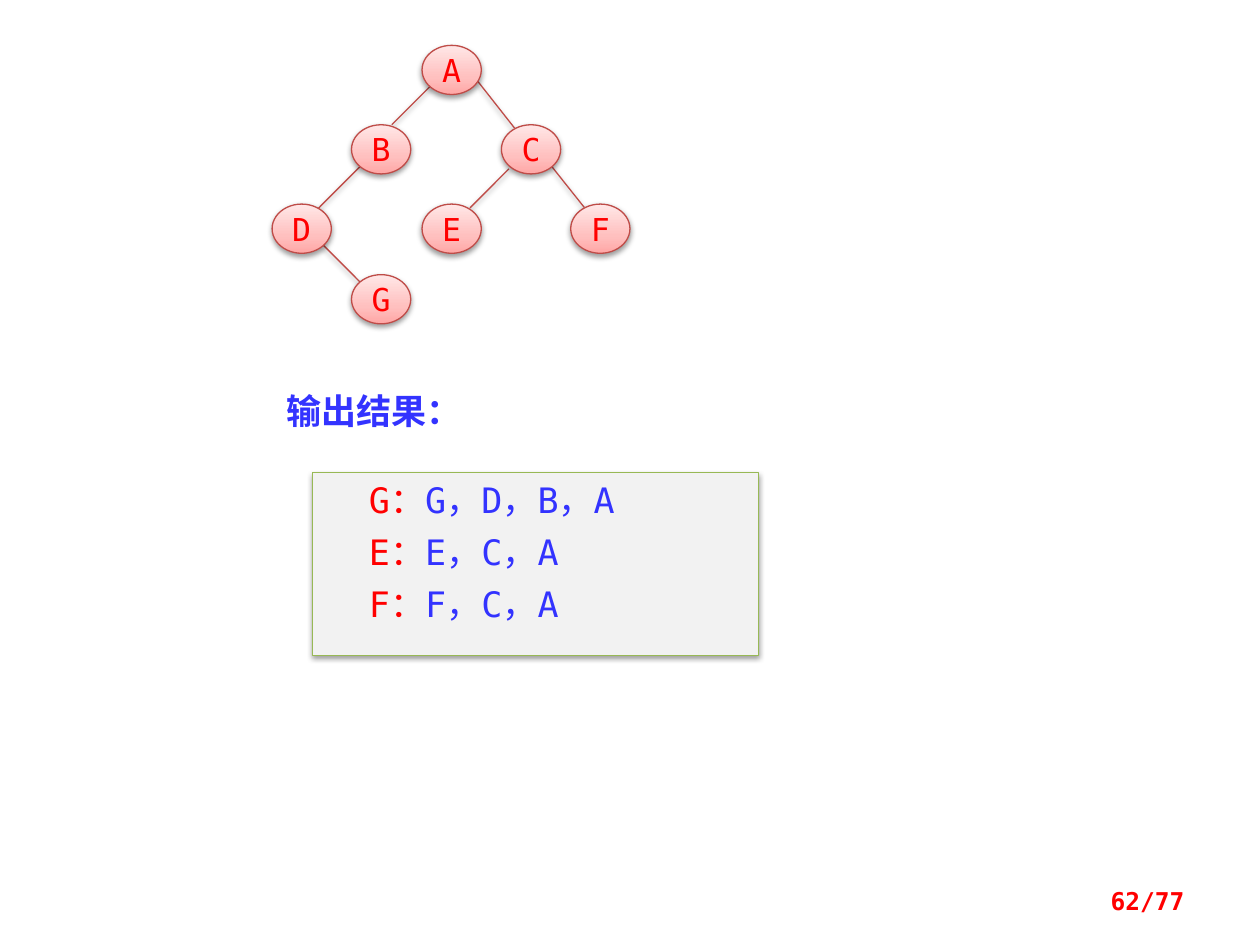
import pptx
import pptx.util
import pptx.dml.color
import pptx.enum.shapes
import pptx.enum.text
import pptx.oxml
import pptx.oxml.ns
import copy

Inches = pptx.util.Inches
Pt = pptx.util.Pt
ALIGN = pptx.enum.text.PP_ALIGN
ANCHOR = pptx.enum.text.MSO_ANCHOR
SHAPE = pptx.enum.shapes.MSO_SHAPE


class Theme:
    mono = "DejaVu Sans Mono"
    sans = "Noto Sans CJK SC"
    red, blue = "FF0000", "3333FF"
    edge, panel, border = "BF4C48", "F2F2F2", "98B955"
    stops = [(0, "FFA6A5"), (0.35, "FFC0BF"), (1, "FFE7E7")]
    node, text, foot = Pt(18), Pt(20), Pt(14)
    line, gap = Pt(0.75), Pt(5.5)


NODES = {"A": (1.19, 0), "B": (0.63, 0.63), "C": (1.82, 0.63), "D": (0, 1.26),
         "E": (1.19, 1.26), "F": (2.37, 1.26), "G": (0.63, 1.82)}
EDGES = [(0.4, 1.58, 0.71, 1.89), (1.26, 0.32, 0.95, 0.63),
         (1.62, 0.27, 1.95, 0.69), (0.71, 0.95, 0.32, 1.34),
         (1.88, 0.98, 1.57, 1.29), (2.21, 0.95, 2.52, 1.34)]
ROUTES = {"G": "G，D，B，A", "E": "E，C，A", "F": "F，C，A"}


def rgb(code):
    return pptx.dml.color.RGBColor.from_string(code)


def put(item, **values):
    for name, value in values.items():
        setattr(item, name, value)


def write(para, text, color, **font):
    run = para.add_run()
    run.text = text
    put(run.font, **font)
    run.font.color.rgb = rgb(color)
    east = pptx.oxml.parse_xml(
        f'<a:ea {pptx.oxml.ns.nsdecls("a")} typeface="{Theme.sans}"/>')
    run.font._element.append(east)


def trim(shape, color):
    """Give a shape or connector its outline and soft shadow."""
    shape.line.color.rgb = rgb(color)
    shape.line.width = Theme.line
    props = shape._element.spPr
    for old in props.findall(pptx.oxml.ns.qn("a:effectLst")):
        props.remove(old)
    props.append(pptx.oxml.parse_xml(
        f'<a:effectLst {pptx.oxml.ns.nsdecls("a")}>'
        f'<a:outerShdw blurRad="{Pt(3.1)}" dist="{Pt(1.6)}" dir="5400000" '
        'rotWithShape="0"><a:srgbClr val="000000"><a:alpha val="38000"/>'
        '</a:srgbClr></a:outerShdw></a:effectLst>'))


def shade(shape):
    """Fill a shape with the three-stop gradient, light at the top."""
    shape.fill.gradient()
    shape.fill.gradient_angle = 90
    first = shape._element.spPr.find(".//" + pptx.oxml.ns.qn("a:gs"))
    first.addnext(copy.deepcopy(first))
    for stop, (place, color) in zip(shape.fill.gradient_stops, Theme.stops):
        stop.position = place
        stop.color.rgb = rgb(color)


def draw_tree(slide, left, top):
    for x1, y1, x2, y2 in EDGES:
        edge = slide.shapes.add_connector(
            pptx.enum.shapes.MSO_CONNECTOR.STRAIGHT,
            Inches(left + x1), Inches(top + y1),
            Inches(left + x2), Inches(top + y2))
        trim(edge, Theme.edge)
    for name, (x, y) in NODES.items():
        node = slide.shapes.add_shape(
            SHAPE.OVAL, Inches(left + x), Inches(top + y),
            Inches(0.47), Inches(0.39))
        shade(node)
        trim(node, Theme.edge)
        put(node.text_frame, word_wrap=False, vertical_anchor=ANCHOR.MIDDLE)
        para = node.text_frame.paragraphs[0]
        para.alignment = ALIGN.CENTER
        write(para, name, Theme.red, name=Theme.mono, size=Theme.node)


def draw_title(slide, left, top, width, height):
    title = slide.shapes.title
    put(title, left=Inches(left), top=Inches(top),
        width=Inches(width), height=Inches(height))
    put(title.text_frame, word_wrap=True, vertical_anchor=ANCHOR.TOP,
        auto_size=pptx.enum.text.MSO_AUTO_SIZE.NONE)
    para = title.text_frame.paragraphs[0]
    para.alignment = ALIGN.LEFT
    write(para, "输出结果：", Theme.blue,
          name=Theme.sans, size=Theme.text, bold=True)


def draw_routes(slide, left, top, width, height):
    panel = slide.shapes.add_shape(
        SHAPE.RECTANGLE, Inches(left), Inches(top),
        Inches(width), Inches(height))
    panel.fill.solid()
    panel.fill.fore_color.rgb = rgb(Theme.panel)
    trim(panel, Theme.border)
    frame = panel.text_frame
    put(frame, word_wrap=True, vertical_anchor=ANCHOR.TOP)
    font = {"name": Theme.mono, "size": Theme.text}
    for row, (leaf, route) in enumerate(ROUTES.items()):
        para = frame.add_paragraph() if row else frame.paragraphs[0]
        para.alignment = ALIGN.LEFT
        if row:
            para.space_before = Theme.gap
        para._p.get_or_add_pPr().set("marL", str(Inches(0.35)))
        write(para, leaf + "：", Theme.red, **font)
        write(para, route, Theme.blue, **font)


def draw_foot(slide, left, top, width, height):
    box = slide.shapes.add_textbox(
        Inches(left), Inches(top), Inches(width), Inches(height))
    put(box.text_frame, word_wrap=True, vertical_anchor=ANCHOR.MIDDLE)
    para = box.text_frame.paragraphs[0]
    para.alignment = ALIGN.RIGHT
    write(para, "62/77", Theme.red,
          name=Theme.mono, size=Theme.foot, bold=True)


def main():
    deck = pptx.Presentation()
    put(deck, slide_width=Inches(10), slide_height=Inches(7.5))
    slide = deck.slides.add_slide(deck.slide_layouts[5])
    draw_tree(slide, 2.16, 0.36)
    draw_routes(slide, 2.48, 3.75, 3.54, 1.45)
    draw_title(slide, 2.17, 3.04, 2.36, 0.44)
    draw_foot(slide, 7.17, 6.95, 2.33, 0.4)
    deck.save("out.pptx")


if __name__ == "__main__":
    main()
